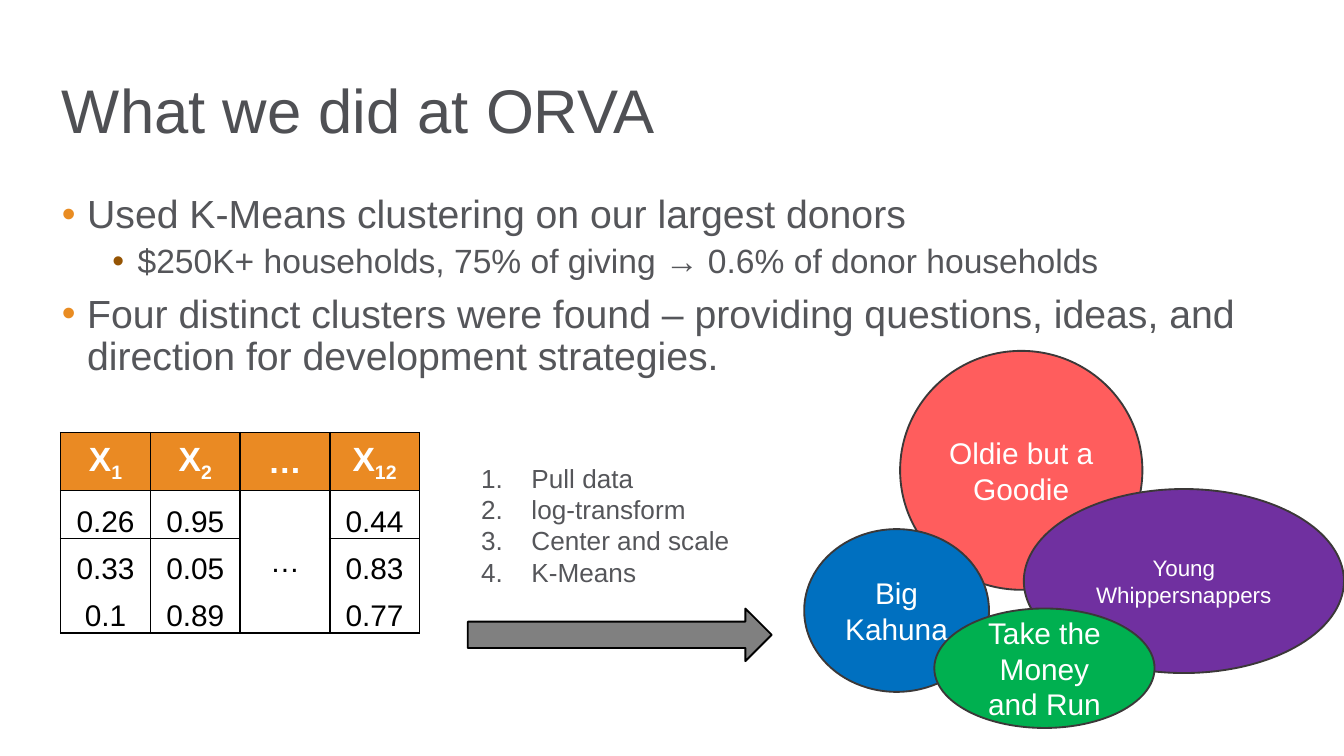
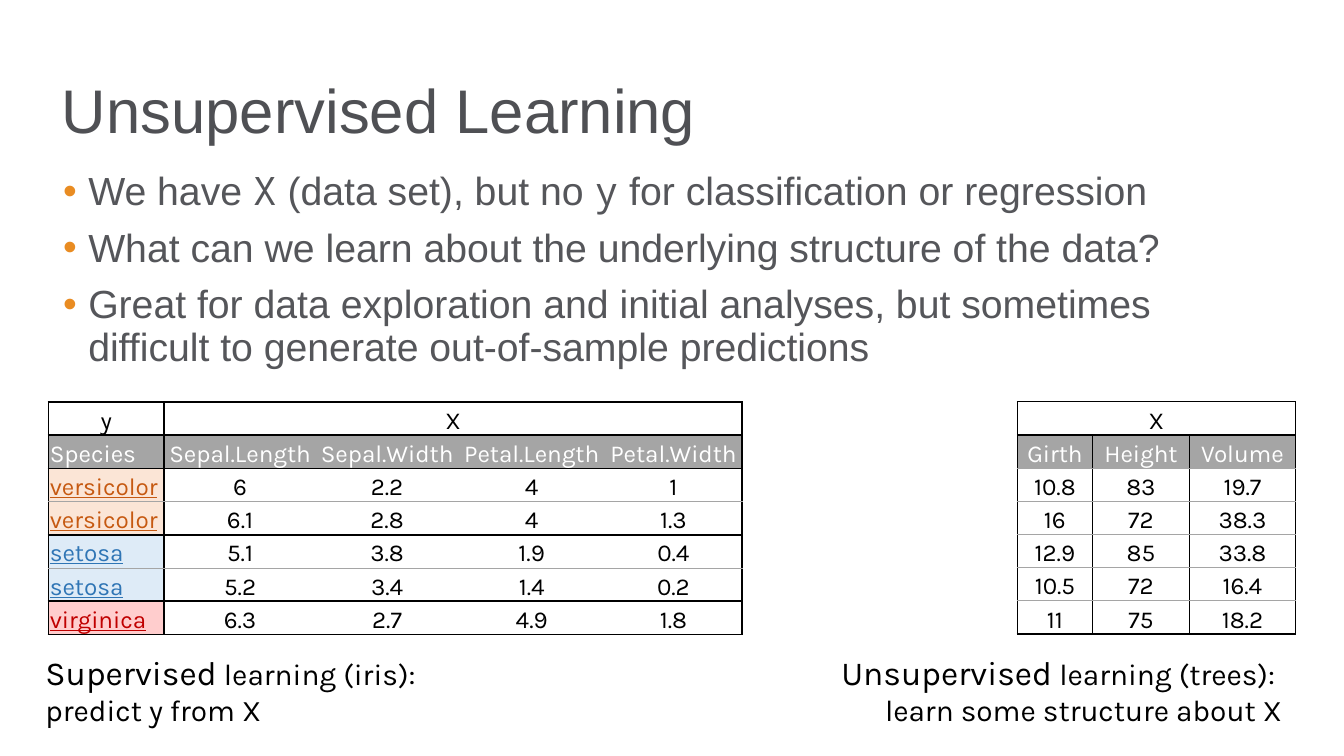
from lxml.etree import SubElement
from pptx import Presentation
from pptx.dml.color import RGBColor as RGB
from pptx.enum.shapes import MSO_SHAPE as SHAPE
from pptx.enum.text import MSO_ANCHOR as ANCHOR, MSO_AUTO_SIZE as AUTO, PP_ALIGN as ALIGN
from pptx.oxml.ns import qn
from pptx.util import Pt

BLACK, WHITE = RGB(0, 0, 0), RGB(255, 255, 255)
TITLE_GRAY, TEXT_GRAY = RGB(0x4F, 0x50, 0x54), RGB(0x55, 0x56, 0x5A)
BULLET, SUB_BULLET = RGB(0xE9, 0x8C, 0x22), RGB(0x95, 0x54, 0x03)
HEAD_ORANGE, HEAD_GRAY = RGB(0xEA, 0x8A, 0x23), RGB(0xA5, 0xA5, 0xA5)
OUTLINE, ARROW_GRAY = RGB(0x3B, 0x38, 0x38), RGB(0x80, 0x80, 0x80)
RED, BLUE = RGB(0xFF, 0x5D, 0x5D), RGB(0x00, 0x70, 0xC0)
PURPLE, GREEN = RGB(0x70, 0x30, 0xA0), RGB(0x00, 0xB0, 0x50)
SPECIES = {  # text colour, fill
    "versicolor": (RGB(0xC6, 0x59, 0x11), RGB(0xFB, 0xE5, 0xD6)),
    "setosa": (RGB(0x2F, 0x75, 0xB5), RGB(0xDE, 0xEB, 0xF7)),
    "virginica": (RGB(0xC0, 0x00, 0x00), RGB(0xFF, 0xCD, 0xCD)),
}

SANS, KARLA, MONO = "Arial", "Karla", "Noto Sans Mono"
SOLID, THIN, HAIR = (BLACK, 1), (BLACK, 0.5), (HEAD_GRAY, 0.5)
TITLE_BOX = (26, 21.6, 668, 78.5)


def add_runs(p, runs, **base):
    """Add a string, or (text, format) pairs that override the base format."""
    if isinstance(runs, str):
        runs = [(runs, {})]
    for text, extra in runs:
        r = p.add_run()
        r.text = text
        fmt = {**base, **extra}
        r.font.color.rgb = fmt.pop("color")
        if "baseline" in fmt:
            r._r.get_or_add_rPr().set("baseline", str(fmt.pop("baseline")))
        for key, value in fmt.items():
            setattr(r.font, key, Pt(value) if key == "size" else value)


def place(sp, box):
    for key, value in zip(("left", "top", "width", "height"), box):
        setattr(sp, key, Pt(value))


def add_bullet(p, left, hang, color=None):
    """Give a coloured dot, or a number when there is no colour."""
    pPr = p._p.get_or_add_pPr()
    pPr.set("marL", str(Pt(left)))
    pPr.set("indent", str(-Pt(hang)))
    if color is None:
        SubElement(pPr, qn("a:buFont"), typeface="+mj-lt")
        SubElement(pPr, qn("a:buAutoNum"), type="arabicPeriod")
    else:
        clr = SubElement(pPr, qn("a:buClr"))
        SubElement(clr, qn("a:srgbClr"), val=str(color))
        SubElement(pPr, qn("a:buFont"), typeface=SANS)
        SubElement(pPr, qn("a:buChar"), char="•")


def paragraphs(tf, items):
    """Yield a paragraph for each item, reusing the first one of the frame."""
    for i, item in enumerate(items):
        yield (tf.add_paragraph() if i else tf.paragraphs[0]), item


def add_title(s, text):
    sp = s.shapes.title
    place(sp, TITLE_BOX)
    tf = sp.text_frame
    tf.auto_size, tf.vertical_anchor = AUTO.NONE, ANCHOR.MIDDLE
    p = tf.paragraphs[0]
    p.alignment, p.line_spacing = ALIGN.LEFT, 0.9
    add_runs(p, text, size=33, name=SANS, color=TITLE_GRAY)


def add_body(s, box, items):
    """Fill the body placeholder with (level, runs) items."""
    sp = s.placeholders[1]
    place(sp, box)
    tf = sp.text_frame
    tf.auto_size, tf.vertical_anchor = AUTO.NONE, ANCHOR.TOP
    styles = [(13.5, BULLET, 21, 7.5), (40.5, SUB_BULLET, 18, 3.8)]
    for i, (p, (level, runs)) in enumerate(paragraphs(tf, items)):
        left, color, size, before = styles[level]
        p.level, p.line_spacing = level, 0.9
        p.space_before = Pt(before if i else 0)
        add_bullet(p, left, 13.5, color)
        add_runs(p, runs, size=size, name=SANS, color=TEXT_GRAY)


def add_text(s, box, lines, align=ALIGN.LEFT, numbered=False, **fmt):
    sp = s.shapes.add_textbox(*map(Pt, box))
    tf = sp.text_frame
    tf.word_wrap = True
    for p, runs in paragraphs(tf, lines):
        p.alignment = align
        if numbered:
            add_bullet(p, 27, 27)
        add_runs(p, runs, **fmt)


def add_filled(s, kind, box, fill, line):
    sp = s.shapes.add_shape(kind, *map(Pt, box))
    sp.shadow.inherit = False
    sp.fill.solid()
    sp.fill.fore_color.rgb = fill
    sp.line.color.rgb = line
    sp.line.width = Pt(1)
    return sp


def add_bubble(s, box, fill, text, size):
    tf = add_filled(s, SHAPE.OVAL, box, fill, OUTLINE).text_frame
    tf.word_wrap, tf.vertical_anchor = True, ANCHOR.MIDDLE
    tf.paragraphs[0].alignment = ALIGN.CENTER
    add_runs(tf.paragraphs[0], text, size=size, name=SANS, color=WHITE)


def set_borders(cell, edges):
    """Set left, right, top and bottom edges, each (colour, width) or None."""
    tcPr = cell._tc.get_or_add_tcPr()
    for i, (side, edge) in enumerate(zip("LRTB", edges)):
        ln = tcPr.makeelement(qn(f"a:ln{side}"), {})
        if edge:
            ln.set("w", str(Pt(edge[1])))
            fill = SubElement(ln, qn("a:solidFill"))
            SubElement(fill, qn("a:srgbClr"), val=str(edge[0]))
        else:
            SubElement(ln, qn("a:noFill"))
        tcPr.insert(i, ln)


def add_grid(s, box, cols, heights, rows, merge, look, h_line, v_line):
    """Add a table; look(i, j) gives fill, anchor, alignment and font of a cell,
    h_line(i, j) the edge above it and v_line(i, j) the edge to its left."""
    tbl = s.shapes.add_table(len(rows), len(cols), *map(Pt, box)).table
    tbl.first_row = tbl.horz_banding = False
    for col, width in zip(tbl.columns, cols):
        col.width = Pt(width)
    for row, height in zip(tbl.rows, heights):
        row.height = Pt(height)
    margins = {"margin_left": 0.72, "margin_right": 0.72, "margin_top": 0.72, "margin_bottom": 0}
    r1, c1, r2, c2 = merge
    for i, row in enumerate(rows):
        for j, runs in enumerate(row):
            cell = tbl.cell(i, j)
            fill, anchor, align, fmt = look(i, j)
            for key, value in margins.items():
                setattr(cell, key, Pt(value))
            cell.vertical_anchor = anchor
            if fill is None:
                cell.fill.background()
            else:
                cell.fill.solid()
                cell.fill.fore_color.rgb = fill
            p = cell.text_frame.paragraphs[0]
            p.alignment = align
            if runs:
                add_runs(p, runs, **fmt)
            # The first cell of a merged block carries the far edges of the block.
            last_i, last_j = (r2, c2) if (i, j) == (r1, c1) else (i, j)
            set_borders(cell, (v_line(i, j), v_line(i, last_j + 1),
                               h_line(i, j), h_line(last_i + 1, j)))
    tbl.cell(r1, c1).merge(tbl.cell(r2, c2))


def add_features(s, box):
    def label(index):
        return [("X", {}), (index, {"baseline": -25000})]

    def look(i, j):
        if i == 0:
            return HEAD_ORANGE, ANCHOR.MIDDLE, ALIGN.CENTER, dict(
                size=18, name=SANS, color=WHITE, bold=True)
        anchor = ANCHOR.MIDDLE if j == 2 else ANCHOR.BOTTOM
        return None, anchor, ALIGN.CENTER, dict(size=16, name=SANS, color=BLACK, bold=False)

    def h_line(i, j):
        return SOLID if i in (0, 1, 4) or (i == 2 and j != 2) else None

    rows = [[label("1"), label("2"), "…", label("12")],
            ["0.26", "0.95", "…", "0.44"],
            ["0.33", "0.05", "", "0.83"],
            ["0.1", "0.89", "", "0.77"]]
    add_grid(s, box, [box[2] / 4] * 4, [31, 25.8, 25.2, 25.2], rows, (1, 2, 3, 2),
             look, h_line, lambda i, j: SOLID)


def data_look(rows):
    """Return the look shared by the two data tables of the second slide."""
    def look(i, j):
        text = rows[i][j]
        fill, color = (HEAD_GRAY, WHITE) if i == 1 else (None, BLACK)
        align = ALIGN.LEFT if text == "Species" or text in SPECIES else ALIGN.CENTER
        if text in SPECIES:
            color, fill = SPECIES[text]
        return fill, ANCHOR.BOTTOM, align, dict(
            size=13, name=KARLA, color=color, bold=False, underline=text in SPECIES)
    return look


def add_iris(s, box):
    rows = [["y", "X", "", "", ""],
            ["Species", "Sepal.Length", "Sepal.Width", "Petal.Length", "Petal.Width"],
            ["versicolor", "6", "2.2", "4", "1"],
            ["versicolor", "6.1", "2.8", "4", "1.3"],
            ["setosa", "5.1", "3.8", "1.9", "0.4"],
            ["setosa", "5.2", "3.4", "1.4", "0.2"],
            ["virginica", "6.3", "2.7", "4.9", "1.8"]]

    def h_line(i, j):
        same = 0 < i < len(rows) and rows[i][0] == rows[i - 1][0]
        return HAIR if same else SOLID

    add_grid(s, box, [62, 81.2, 76.4, 78.5, 73.4], [box[3] / 7] * 7, rows, (0, 1, 0, 4),
             data_look(rows), h_line, lambda i, j: SOLID if j in (0, 1, 5) else None)


def add_trees(s, box):
    rows = [["X", "", ""], ["Girth", "Height", "Volume"],
            ["10.8", "83", "19.7"], ["16", "72", "38.3"], ["12.9", "85", "33.8"],
            ["10.5", "72", "16.4"], ["11", "75", "18.2"]]

    def h_line(i, j):
        return {0: THIN, 1: SOLID, 7: SOLID}.get(i, HAIR)

    def v_line(i, j):
        if i:
            return SOLID
        return THIN if j in (0, 3) else None

    add_grid(s, box, [40.3, 51.9, 56.9], [box[3] / 7] * 7, rows, (0, 0, 0, 2),
             data_look(rows), h_line, v_line)


def add_caption(s, box, lead, rest, second, align):
    add_text(s, box, [[(lead, {"size": 18}), (rest, {})], second], align,
             size=16, name=KARLA, color=BLACK)


def clustering_slide(s):
    add_title(s, "What we did at ORVA")
    add_body(s, (26, 100.8, 668, 280), [
        (0, "Used K-Means clustering on our largest donors"),
        (1, "$250K+ households, 75% of giving → 0.6% of donor households"),
        (0, "Four distinct clusters were found – providing questions, ideas, "
            "and direction for development strategies."),
    ])
    for box, fill, text, size in [
        ((482.2, 188, 129.8, 128), RED, "Oldie but a Goodie", 16),
        ((430.8, 283.5, 99, 87.2), BLUE, "Big Kahuna", 16),
        ((548.5, 262, 171.5, 98.6), PURPLE, "Young Whippersnappers", 12),
        ((500.5, 326, 118, 64), GREEN, "Take the Money and Run", 16),
    ]:
        add_bubble(s, box, fill, text, size)
    add_filled(s, SHAPE.RIGHT_ARROW, (250.6, 326, 162.8, 28.2), ARROW_GRAY, BLACK)
    add_text(s, (250.6, 244, 190, 75),
             ["Pull data", "log-transform", "Center and scale", "K-Means"],
             numbered=True, size=14, name=SANS, color=TEXT_GRAY)
    add_features(s, (32.5, 231.8, 192.2, 107.2))


def unsupervised_slide(s):
    mono = {"name": MONO}
    add_title(s, "Unsupervised Learning")
    add_body(s, (26.6, 88.6, 668, 280), [
        (0, [("We have ", {}), ("X", mono), (" (data set), but no ", {}), ("y", mono),
             (" for classification or regression", {})]),
        (0, "What can we learn about the underlying structure of the data?"),
        (0, "Great for data exploration and initial analyses, but sometimes "
            "difficult to generate out-of-sample predictions"),
    ])
    add_iris(s, (26, 215.3, 371.5, 124.8))
    add_caption(s, (17.3, 345.6, 285, 48.2), "Supervised", " learning (iris):",
                "predict y from X", ALIGN.LEFT)
    add_trees(s, (545, 215.3, 149.1, 124.6))
    add_caption(s, (360.7, 345.6, 333.3, 48.2), "Unsupervised", " learning (trees): ",
                "learn some structure about X", ALIGN.RIGHT)


def main():
    prs = Presentation()
    prs.slide_width, prs.slide_height = Pt(720), Pt(405)
    for build in (clustering_slide, unsupervised_slide):
        build(prs.slides.add_slide(prs.slide_layouts[1]))
    prs.save("out.pptx")


if __name__ == "__main__":
    main()
